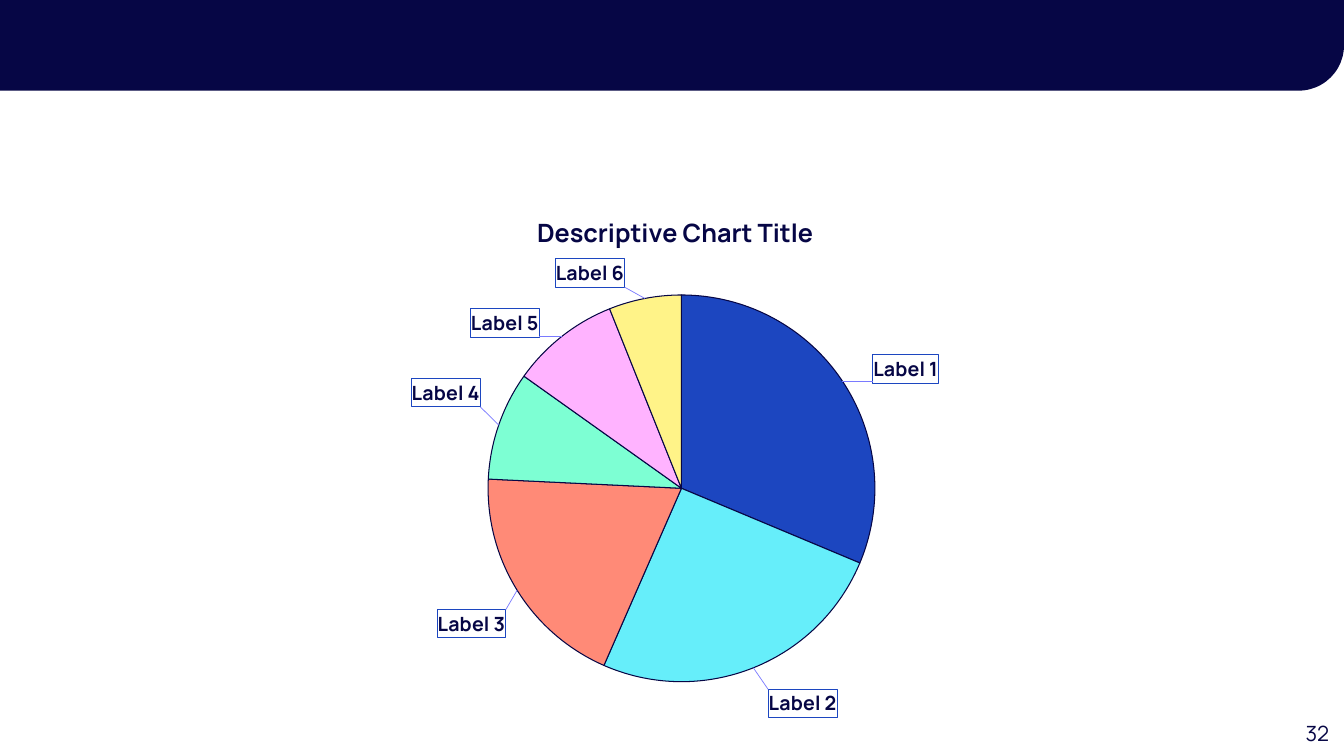
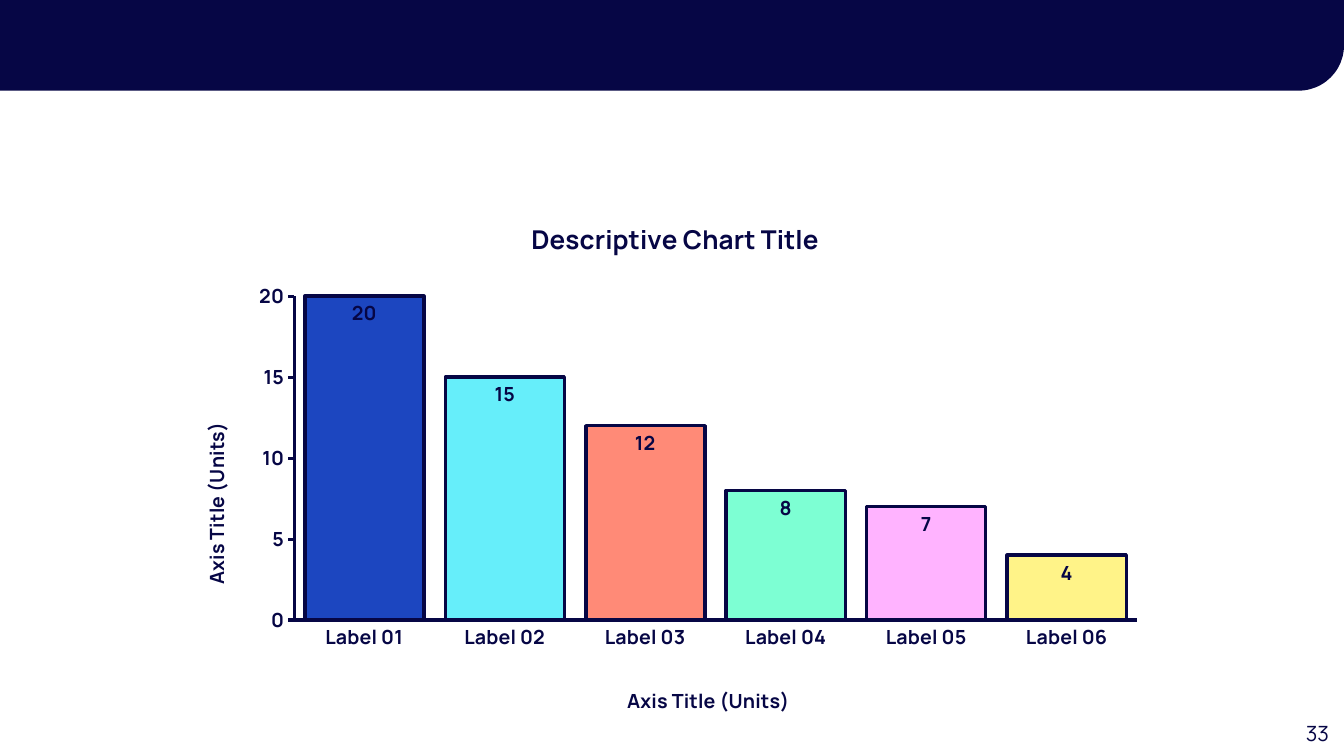
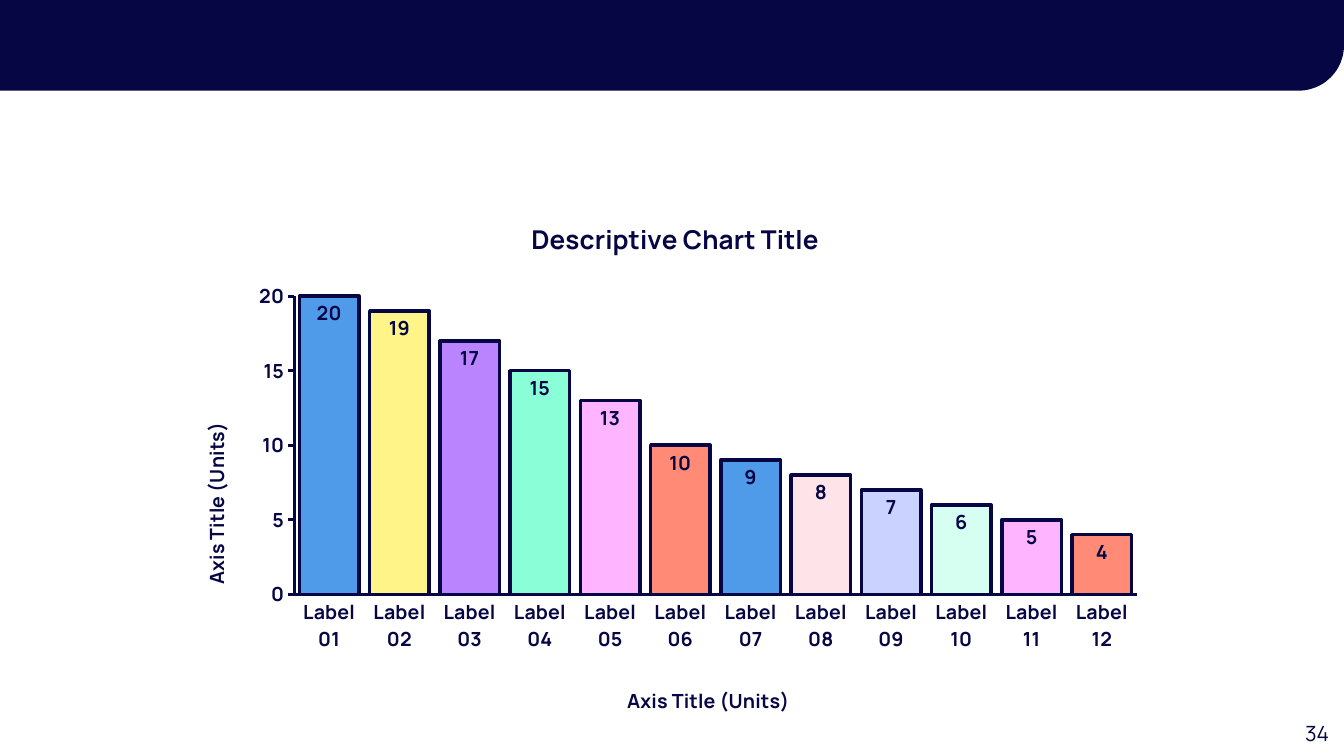
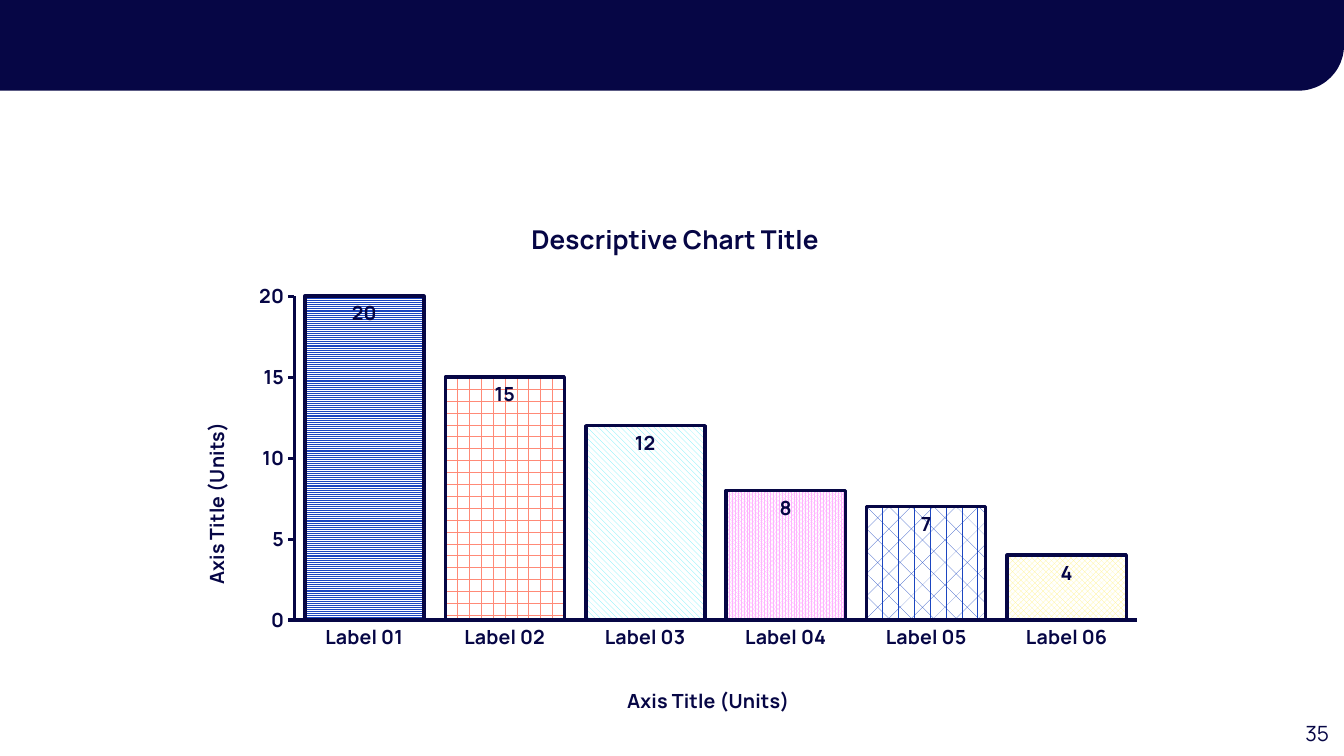
from dataclasses import dataclass
from typing import Optional

from lxml.etree import SubElement
from pptx import Presentation
from pptx.chart.chart import Chart
from pptx.chart.data import CategoryChartData
from pptx.chart.series import BarSeries, PieSeries
from pptx.dml.color import RGBColor
from pptx.dml.fill import FillFormat
from pptx.dml.line import LineFormat
from pptx.enum.chart import XL_CHART_TYPE, XL_LABEL_POSITION, XL_TICK_MARK
from pptx.enum.dml import MSO_PATTERN
from pptx.enum.shapes import MSO_SHAPE
from pptx.enum.text import PP_ALIGN
from pptx.oxml import parse_xml
from pptx.oxml.ns import nsdecls, qn
from pptx.slide import Slide, SlideLayout
from pptx.text.text import Font
from pptx.util import Inches, Pt

FONT = "Manrope"
COLORS = {
    "navy": "060645",
    "white": "FFFFFF",
    "blue": "1C46C0",
    "cyan": "66EEFA",
    "coral": "FF8A77",
    "mint": "7DFFD3",
    "pink": "FFB3FF",
    "yellow": "FFF388",
    "sky": "4F9AE9",
    "lemon": "FEF488",
    "violet": "BA84FF",
    "aqua": "8AFFD7",
    "orchid": "FFB4FF",
    "salmon": "FF8A76",
    "blush": "FEE3E9",
    "periwinkle": "CAD2FF",
    "pale_mint": "D6FFF2",
    "leader": "7A7AFF",
}
CHART_TITLE = "Descriptive Chart Title"
AXIS_TITLE = "Axis Title (Units)"
FIRST_PAGE = 32


@dataclass(frozen=True)
class Fill:
    color: str
    pattern: Optional[MSO_PATTERN] = None


@dataclass(frozen=True)
class ColumnSlide:
    values: tuple[int, ...]
    fills: tuple[Fill, ...]
    plot_height: float


@dataclass(frozen=True)
class Slice:
    value: int
    color: str
    label_dx: float
    label_dy: float


SLICES = (
    Slice(31, "blue", 0.04, 0.01),
    Slice(25, "cyan", 0.02, 0.03),
    Slice(19, "coral", -0.01, 0.03),
    Slice(9, "mint", -0.02, -0.03),
    Slice(9, "pink", -0.03, 0.01),
    Slice(6, "yellow", -0.03, -0.01),
)

SIX_VALUES = (20, 15, 12, 8, 7, 4)
TWELVE_COLORS = (
    "sky", "lemon", "violet", "aqua", "orchid", "salmon",
    "sky", "blush", "periwinkle", "pale_mint", "orchid", "salmon",
)
COLUMN_SLIDES = (
    ColumnSlide(SIX_VALUES, tuple(Fill(part.color) for part in SLICES), 0.63),
    ColumnSlide(
        (20, 19, 17, 15, 13, 10, 9, 8, 7, 6, 5, 4),
        tuple(Fill(color) for color in TWELVE_COLORS),
        0.58,
    ),
    ColumnSlide(
        SIX_VALUES,
        (
            Fill("blue", MSO_PATTERN.LIGHT_HORIZONTAL),
            Fill("coral", MSO_PATTERN.HORIZONTAL_BRICK),
            Fill("cyan", MSO_PATTERN.WIDE_DOWNWARD_DIAGONAL),
            Fill("pink", MSO_PATTERN.PERCENT_80),
            Fill("blue", MSO_PATTERN.DIVOT),
            Fill("yellow", MSO_PATTERN.LARGE_CHECKER_BOARD),
        ),
        0.63,
    ),
)


def rgb(name: str) -> RGBColor:
    return RGBColor.from_string(COLORS[name])


def style_font(font: Font, size: float, bold: bool = False) -> None:
    font.name = FONT
    font.size = Pt(size)
    font.bold = bold
    font.color.rgb = rgb("navy")


def style_line(line: LineFormat, width: float) -> None:
    line.color.rgb = rgb("navy")
    line.width = Pt(width)


def apply_fill(target: FillFormat, fill: Fill) -> None:
    if fill.pattern is None:
        target.solid()
        target.fore_color.rgb = rgb(fill.color)
    else:
        target.patterned()
        target.pattern = fill.pattern
        target.fore_color.rgb = rgb(fill.color)
        target.back_color.rgb = rgb("white")


def place(element, index: int, values: dict[str, object]) -> None:
    for old in element.findall(qn("c:layout")):
        element.remove(old)
    layout = parse_xml(f"<c:layout {nsdecls('c')}/>")
    manual = SubElement(layout, qn("c:manualLayout"))
    for tag, value in values.items():
        SubElement(manual, qn(f"c:{tag}")).set("val", str(value))
    element.insert(index, layout)


def place_plot(chart: Chart, x: float, y: float, w: float, h: float) -> None:
    plot_area = chart.element.find(".//" + qn("c:plotArea"))
    place(plot_area, 0, {"layoutTarget": "inner", "xMode": "edge", "yMode": "edge",
                         "x": x, "y": y, "w": w, "h": h})


def write_title(title, text: str, size: float, x: float, y: float) -> None:
    title.text_frame.text = text
    style_font(title.text_frame.paragraphs[0].runs[0].font, size, True)
    place(title.element, 1, {"xMode": "edge", "yMode": "edge", "x": x, "y": y})


def outline_xml(color: str, width: float) -> str:
    return (
        f"<c:spPr {nsdecls('c', 'a')}><a:ln w=\"{Pt(width)}\"><a:solidFill>"
        f"<a:srgbClr val=\"{COLORS[color]}\"/></a:solidFill></a:ln></c:spPr>"
    )


def add_chart(slide: Slide, kind: XL_CHART_TYPE, box: tuple[float, ...],
              categories: list[str], values: tuple[int, ...]) -> Chart:
    data = CategoryChartData()
    data.categories = categories
    data.add_series("Series 1", values)
    chart = slide.shapes.add_chart(kind, *(Inches(v) for v in box), data).chart
    chart.has_legend = False
    style_font(chart.font, 10)
    return chart


def fill_points(series: BarSeries | PieSeries, fills: tuple[Fill, ...], width: float) -> None:
    style_line(series.format.line, width)
    for index, fill in enumerate(fills):
        point = series.points[index]
        apply_fill(point.format.fill, fill)
        style_line(point.format.line, width)


def label_slices(chart: Chart) -> None:
    series = chart.plots[0].series[0]
    labels = series.data_labels
    labels.show_value = False
    labels.show_category_name = True
    labels.position = XL_LABEL_POSITION.BEST_FIT
    style_font(labels.font, 14, True)
    for index in range(len(SLICES)):
        label = series.points[index].data_label
        style_font(label.font, 14, True)
        label.position = XL_LABEL_POSITION.BEST_FIT

    group = chart.element.find(".//" + qn("c:ser")).find(qn("c:dLbls"))
    for part, entry in zip(SLICES, group.findall(qn("c:dLbl"))):
        entry.find(qn("c:showVal")).set("val", "0")
        entry.find(qn("c:showCatName")).set("val", "1")
        entry.find(qn("c:txPr")).addprevious(parse_xml(outline_xml("blue", 0.75)))
        place(entry, 1, {"x": part.label_dx, "y": part.label_dy})
    switch = group.find(qn("c:showLeaderLines"))
    if switch is None:
        switch = SubElement(group, qn("c:showLeaderLines"))
    switch.set("val", "1")
    leaders = parse_xml(f"<c:leaderLines {nsdecls('c')}/>")
    leaders.append(parse_xml(outline_xml("leader", 0.5)))
    switch.addnext(leaders)


def draw_pie(slide: Slide) -> None:
    chart = add_chart(slide, XL_CHART_TYPE.PIE, (3.52, 1.79, 6.29, 5.36),
                      [f"Label {n}" for n in range(1, len(SLICES) + 1)],
                      tuple(part.value for part in SLICES))
    write_title(chart.chart_title, CHART_TITLE, 18, 0.28, 0.05)
    place_plot(chart, 0.21, 0.21, 0.61, 0.72)
    fill_points(chart.plots[0].series[0], tuple(Fill(part.color) for part in SLICES), 0.75)
    label_slices(chart)


def draw_columns(slide: Slide, content: ColumnSlide) -> None:
    chart = add_chart(slide, XL_CHART_TYPE.COLUMN_CLUSTERED, (1.86, 2.02, 9.61, 5.13),
                      [f"Label {n:02d}" for n in range(1, len(content.values) + 1)],
                      content.values)
    write_title(chart.chart_title, CHART_TITLE, 18.6, 0.35, 0.02)
    place_plot(chart, 0.11, 0.18, 0.87, content.plot_height)

    plot = chart.plots[0]
    plot.gap_width = 18
    plot.overlap = -27
    plot.vary_by_categories = False
    series = plot.series[0]
    fill_points(series, content.fills, 2.5)
    labels = series.data_labels
    labels.show_value = True
    labels.position = XL_LABEL_POSITION.INSIDE_END
    style_font(labels.font, 14, True)

    for axis, tick, x, y in (
        (chart.category_axis, XL_TICK_MARK.NONE, 0.45, 0.93),
        (chart.value_axis, XL_TICK_MARK.OUTSIDE, 0.01, 0.42),
    ):
        axis.has_major_gridlines = False
        axis.major_tick_mark = tick
        axis.minor_tick_mark = XL_TICK_MARK.NONE
        style_font(axis.tick_labels.font, 14, True)
        style_line(axis.format.line, 2.25)
        write_title(axis.axis_title, AXIS_TITLE, 14, x, y)

    units = chart.value_axis
    units.minimum_scale = 0
    units.maximum_scale = 20
    units.major_unit = 5
    rotation = units.axis_title.element.find(".//" + qn("a:bodyPr"))
    rotation.set("rot", "-5400000")
    rotation.set("vert", "horz")


def add_band(slide: Slide, layout: SlideLayout) -> None:
    for placeholder in list(layout.placeholders):
        layout.shapes.element.remove(placeholder.element)
    band = slide.shapes.add_shape(MSO_SHAPE.ROUND_1_RECTANGLE, Inches(-0.01), Inches(0),
                                  Inches(13.34), Inches(0.9))
    band.adjustments[0] = 0.5
    band.shadow.inherit = False
    apply_fill(band.fill, Fill("navy"))
    band.line.fill.background()
    band.element.spPr.find(qn("a:xfrm")).set("flipV", "1")
    layout.shapes.element.append(band.element)


def add_page_number(slide: Slide, number: int) -> None:
    page = slide.shapes.add_textbox(Inches(12.59), Inches(7.1), Inches(0.69), Inches(0.35))
    page.text_frame.word_wrap = True
    page.text_frame.text = str(number)
    paragraph = page.text_frame.paragraphs[0]
    paragraph.alignment = PP_ALIGN.RIGHT
    style_font(paragraph.runs[0].font, 15)


def main() -> None:
    deck = Presentation()
    deck.slide_width = Inches(13.33)
    deck.slide_height = Inches(7.5)
    layout = deck.slide_layouts[6]
    slides = [deck.slides.add_slide(layout) for _ in range(1 + len(COLUMN_SLIDES))]
    add_band(slides[0], layout)
    for number, slide in enumerate(slides, FIRST_PAGE):
        add_page_number(slide, number)
    draw_pie(slides[0])
    for slide, content in zip(slides[1:], COLUMN_SLIDES):
        draw_columns(slide, content)
    deck.save("out.pptx")


if __name__ == "__main__":
    main()
